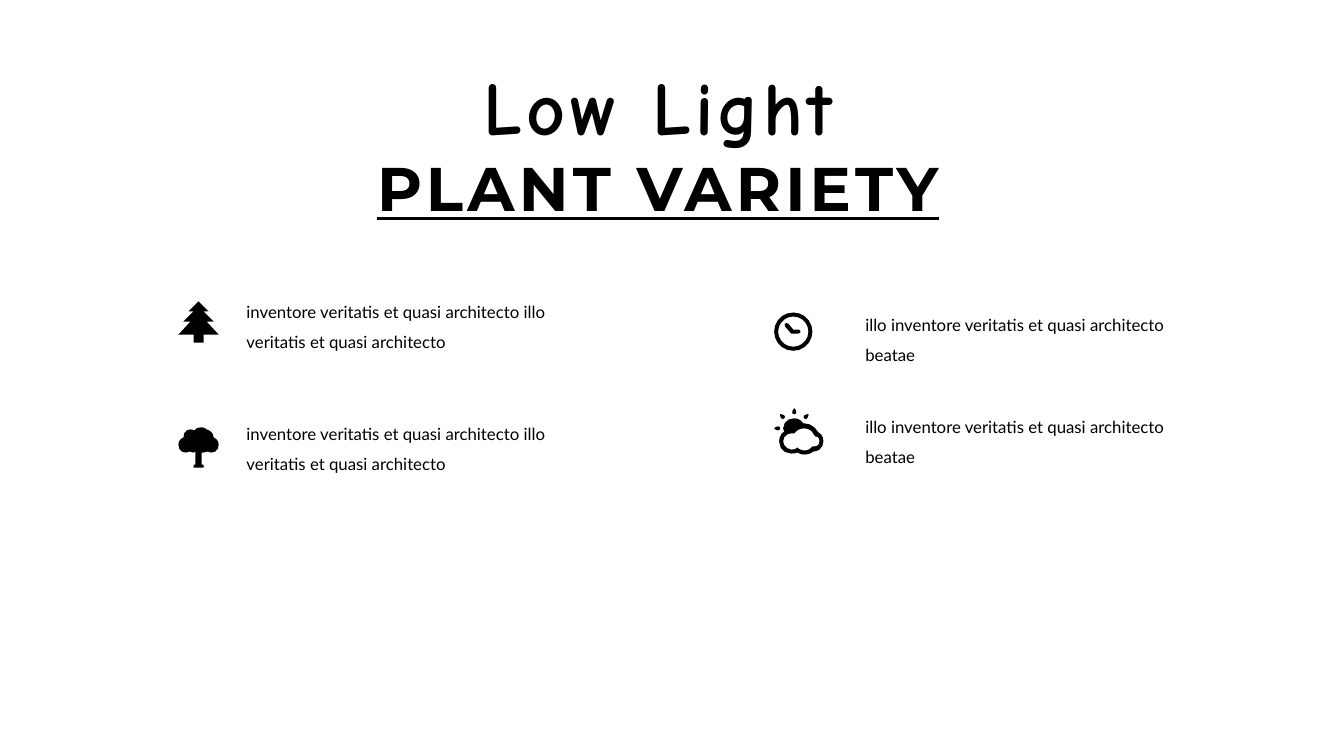
"""Build the "Low Light Plant Variety" slide with four icon captions."""
from math import cos, pi, radians, sin

from pptx import Presentation
from pptx.dml.color import RGBColor
from pptx.enum import text
from pptx.util import Pt

BLACK = RGBColor(0x00, 0x00, 0x00)
CLOCK_BLACK = RGBColor(0x01, 0x01, 0x01)
ICON_UNIT = 0.72
CURVE_STEPS = 3
RING_STEPS = 20

deck = Presentation()
deck.slide_width, deck.slide_height = Pt(960), Pt(540)
slide = deck.slides.add_slide(deck.slide_layouts[6])


def flatten(steps):
    """Turn lines (2 numbers) and cubic curves (6 numbers) into points."""
    points = [steps[0]]
    for step in steps[1:]:
        if len(step) == 2:
            points.append(step)
            continue
        (ax, ay), (bx, by, cx, cy, dx, dy) = points[-1], step
        for i in range(1, CURVE_STEPS + 1):
            t = i / CURVE_STEPS
            s = 1 - t
            weights = s**3, 3 * s * s * t, 3 * s * t * t, t**3
            points.append((sum(w * x for w, x in zip(weights, (ax, bx, cx, dx))),
                           sum(w * y for w, y in zip(weights, (ay, by, cy, dy)))))
    return points


def draw_icon(left, top, contours, colour=BLACK):
    """Draw contours given in icon units from a corner in points."""
    placed = [[(Pt(left + x * ICON_UNIT), Pt(top + y * ICON_UNIT)) for x, y in contour]
              for contour in contours]
    builder = slide.shapes.build_freeform(*placed[0][0])
    builder.add_line_segments(placed[0][1:])
    for contour in placed[1:]:
        builder.move_to(*contour[0])
        builder.add_line_segments(contour[1:])
    icon = builder.convert_to_shape()
    icon.shadow.inherit = False
    icon.fill.solid()
    icon.fill.fore_color.rgb = colour
    icon.line.fill.background()


pine = [(40, 33), (28, 20), (35, 20), (25, 10), (30, 10), (20, 0), (10, 10), (15, 10),
        (5, 20), (12, 20), (0, 33), (15, 33), (15, 41), (25, 41), (25, 33)]
draw_icon(127.44, 215.28, [pine])

leafy_tree = [
    (35, 10), (35, 6, 32, 3, 28, 2), (27, 1, 25, 0, 23, 0), (20, 0, 17, 1, 16, 3),
    (15, 3, 14, 2, 12, 2), (8, 2, 5, 5, 5, 10), (2, 11, 0, 14, 0, 17),
    (0, 22, 3, 25, 7, 25), (9, 25, 10, 24, 11, 24), (12, 24, 14, 25, 15, 25),
    (17, 24), (17, 37), (15, 37), (15, 40), (25, 40), (25, 37),
    (23, 37), (23, 25), (25, 25), (29, 24), (30, 24, 31, 25, 33, 25),
    (37, 25, 40, 22, 40, 17), (40, 14, 38, 11, 35, 10)]
draw_icon(127.44, 305.28, [flatten(leafy_tree)])

clock_rings = [[(19 + r * cos(i * 2 * pi / RING_STEPS), 19 + r * sin(i * 2 * pi / RING_STEPS))
                for i in range(RING_STEPS)] for r in (19, 15)]
clock_hands = [(24, 17), (19, 17), (14, 11), (12, 9, 9, 12, 11, 14), (17, 21),
               (24, 21), (27, 21, 27, 17, 24, 17)]
draw_icon(552.96, 223.2, clock_rings + [flatten(clock_hands)], CLOCK_BLACK)

sun_and_cloud = [
    (44, 24), (41, 19, 36, 15, 30, 15), (29, 15), (27, 12, 24, 10, 20, 10),
    (14, 10, 9, 14, 9, 20), (10, 23), (7, 25, 5, 29, 5, 33),
    (5, 40, 10, 45, 17, 45), (19, 45, 21, 45, 23, 44), (25, 45, 27, 46, 30, 46),
    (33, 46, 37, 45, 39, 43), (40, 43), (45, 43, 49, 38, 49, 33),
    (49, 29, 47, 25, 44, 24)]
cloud_inside = [
    (40, 38), (38, 38), (37, 39), (35, 41, 33, 42, 30, 42), (28, 42, 26, 41, 24, 40),
    (23, 39), (22, 40), (20, 41, 19, 41, 17, 41), (13, 41, 9, 37, 9, 33),
    (9, 28, 13, 25, 17, 25), (20, 25), (21, 24), (23, 21, 27, 20, 30, 20),
    (34, 20, 38, 22, 40, 27), (41, 28), (44, 28, 45, 30, 45, 33),
    (45, 36, 43, 38, 40, 38)]
weather_left, weather_top = 552.96, 291.6
draw_icon(weather_left, weather_top, [flatten(sun_and_cloud), flatten(cloud_inside)])

sun_centre = 20
ray = [(0, -14), (1.5, -14.5), (2, -16), (1.5, -18), (0, -20),
       (-1.5, -18), (-2, -16), (-1.5, -14.5)]
for angle in (0, -90, 45, -45):
    c, s = cos(radians(angle)), sin(radians(angle))
    draw_icon(weather_left, weather_top,
              [[(sun_centre + x * c - y * s, sun_centre + x * s + y * c) for x, y in ray]])

tree_caption = "inventore veritatis et quasi architecto illo veritatis et quasi architecto"
light_caption = "illo inventore veritatis et quasi architecto beatae"
for left, top, width, wording in (
        (169, 204.48, 268.56, tree_caption), (169, 292, 268.56, tree_caption),
        (611, 213.84, 256.32, light_caption), (611, 286.56, 256.32, light_caption)):
    caption = slide.shapes.add_textbox(Pt(left), Pt(top), Pt(width), Pt(61.2)).text_frame
    caption.word_wrap = True
    paragraph = caption.paragraphs[0]
    paragraph.text = wording
    paragraph.line_spacing = 1.5
    paragraph.font.name, paragraph.font.size = "Lato", Pt(12)
    paragraph.font.color.rgb = BLACK

title = slide.shapes.add_textbox(Pt(57.6), Pt(39.1), Pt(825.12), Pt(126)).text_frame
title.word_wrap = True
title.auto_size = text.MSO_AUTO_SIZE.SHAPE_TO_FIT_TEXT
title.text = "Low Light\nPLANT VARIETY"
for paragraph, font_name, size, underlined in zip(
        title.paragraphs, ("Comic Neue", "Montserrat"), (54, 44), (False, True)):
    paragraph.alignment = text.PP_ALIGN.CENTER
    paragraph.font.name, paragraph.font.size = font_name, Pt(size)
    paragraph.font.bold, paragraph.font.underline = True, underlined
    paragraph.font.color.rgb = BLACK
    paragraph.runs[0]._r.get_or_add_rPr().set("spc", "300")

deck.save("out.pptx")
